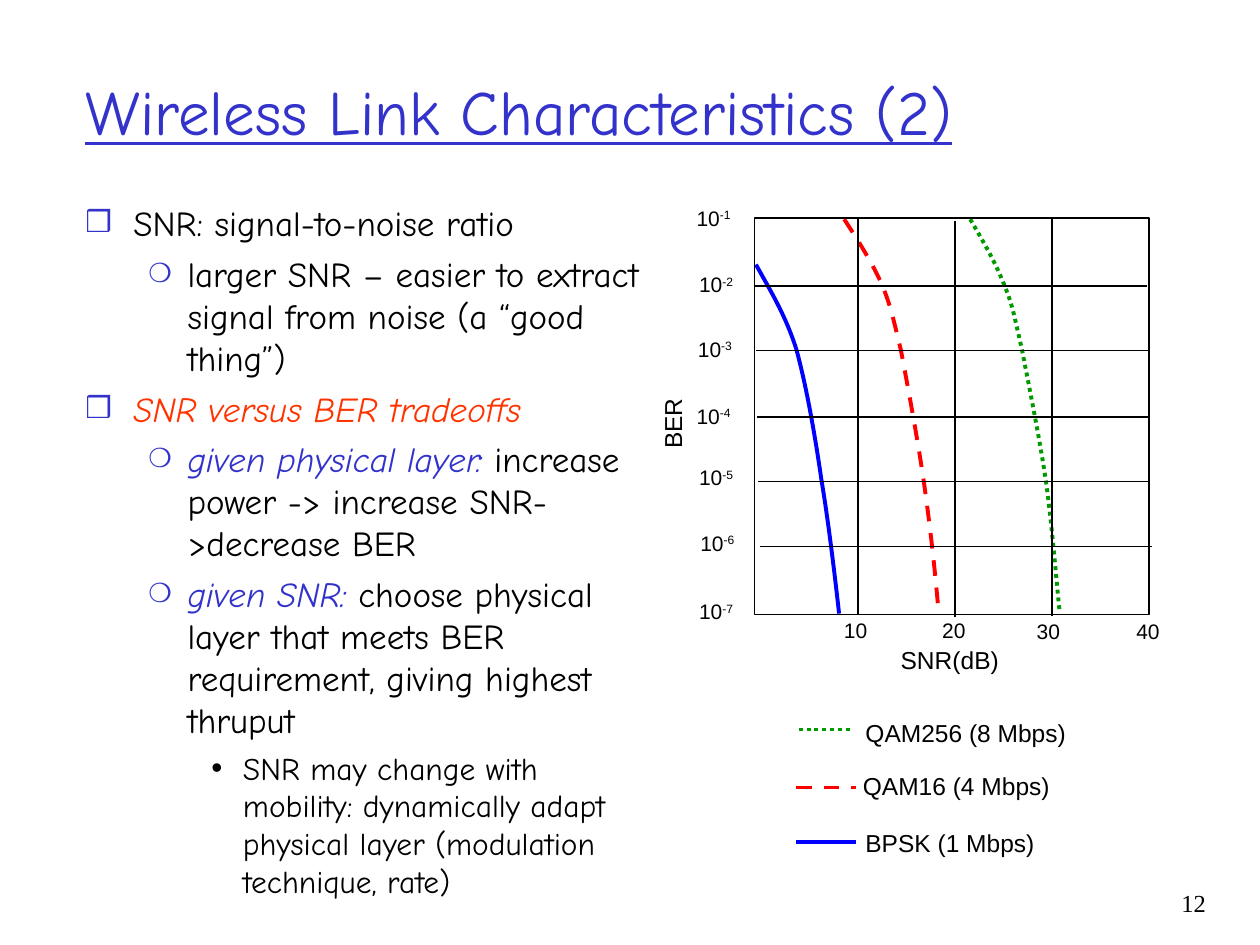
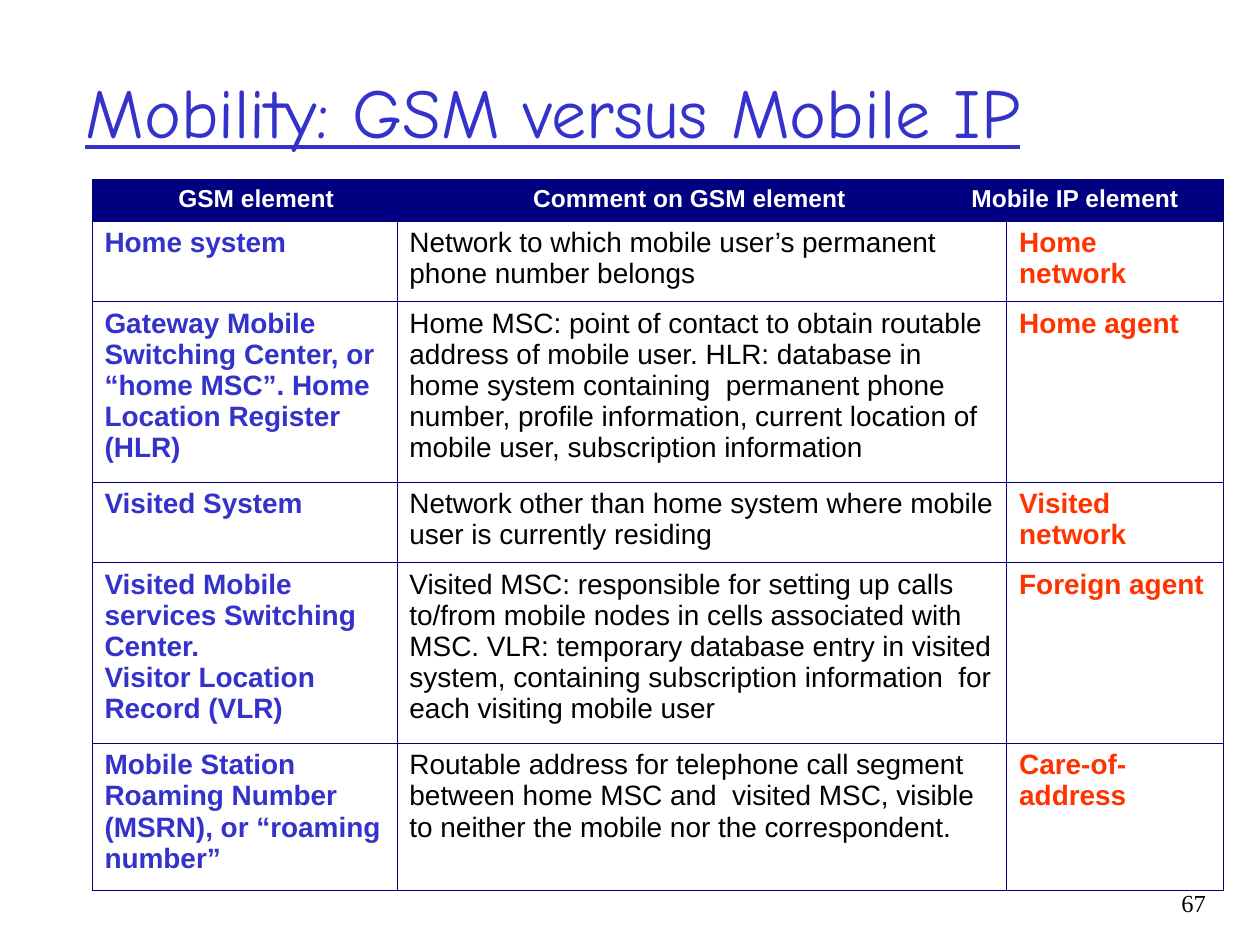
from lxml.etree import SubElement as Sub
from pptx import Presentation
from pptx.dml.color import RGBColor as RGB
from pptx.enum.dml import MSO_LINE as Dash
from pptx.enum.shapes import MSO_CONNECTOR as Conn, MSO_SHAPE as Shape
from pptx.enum.text import MSO_ANCHOR as Anchor, MSO_AUTO_SIZE as Fit, PP_ALIGN as Align
from pptx.oxml.ns import qn
from pptx.util import Inches, Pt

BLACK = RGB(0x00, 0x00, 0x00)
WHITE = RGB(0xFF, 0xFF, 0xFF)
INDIGO = RGB(0x33, 0x33, 0xCC)
ORANGE = RGB(0xFF, 0x33, 0x00)
NAVY = RGB(0x00, 0x00, 0x80)
BLUE = RGB(0x00, 0x00, 0xFF)
RED = RGB(0xFF, 0x00, 0x00)
GREEN = RGB(0x00, 0x99, 0x00)
COMIC = "Comic Neue"
ARIAL = "Arial"
TIMES = "Times New Roman"
THIN = Pt(0.72)
THICK = Pt(2.25)


def write(frame, *paras, font=ARIAL, size=12, color=BLACK, align=Align.LEFT,
          bold=False, under=False, wrap=True):
    """Fill a text frame; a paragraph is a string or a list of (text, format)."""
    frame.word_wrap = wrap
    for i, para in enumerate(paras):
        p = frame.paragraphs[0] if i == 0 else frame.add_paragraph()
        p.alignment = align
        for words, form in [(para, {})] if isinstance(para, str) else para:
            run = p.add_run()
            run.text = words
            run.font.name = font
            run.font.size = Pt(form.get("size", size))
            run.font.color.rgb = form.get("color", color)
            run.font.bold = bold
            run.font.italic = form.get("italic", False)
            run.font.underline = under
            if "base" in form:
                run._r.get_or_add_rPr().set("baseline", str(form["base"] * 1000))


def draw(slide, x1, y1, x2, y2, color=BLACK, width=THIN, dash=None):
    """Add a straight line without shadow."""
    line = slide.shapes.add_connector(
        Conn.STRAIGHT, Inches(x1), Inches(y1), Inches(x2), Inches(y2))
    line.line.color.rgb = color
    line.line.width = width
    line.line.dash_style = dash
    Sub(line._element.spPr, qn("a:effectLst"))


prs = Presentation()
prs.slide_width, prs.slide_height = Inches(10), Inches(7.5)

# Titles and page numbers
slides = []
for title, size, page in [("Wireless Link Characteristics (2)", 36, "12"),
                          ("Mobility: GSM versus Mobile IP", 40, "67")]:
    slide = prs.slides.add_slide(prs.slide_layouts[6])
    box = slide.shapes.add_textbox(Inches(0.58), Inches(0.25), Inches(8.5), Inches(1.25))
    box.text_frame.vertical_anchor = Anchor.MIDDLE
    write(box.text_frame, title, font=COMIC, size=size, color=INDIGO, under=True)
    box = slide.shapes.add_textbox(Inches(8.93), Inches(7), Inches(0.74), Inches(0.5))
    write(box.text_frame, page, font=TIMES, size=14, align=Align.RIGHT)
    slides.append(slide)
link, gsm = slides

# Bulleted text: level and paragraph
key = {"color": INDIGO, "italic": True}
points = [
    (0, "SNR: signal-to-noise ratio"),
    (1, "larger SNR – easier to extract signal from noise (a “good thing”)"),
    (0, [("SNR versus BER tradeoffs", {"color": ORANGE, "italic": True})]),
    (1, [("given physical layer:", key),
         (" increase power -> increase SNR->decrease BER", {})]),
    (1, [("given SNR:", key),
         (" choose physical layer that meets BER requirement, giving highest thruput", {})]),
    (2, [("SNR may change with mobility: dynamically adapt physical layer "
          "(modulation technique, rate)", {"size": 18})]),
]
# Left margin, hanging indent, space before, mark, mark colour, mark size in %
levels = [(0.38, 0.38, 5, "❒", INDIGO, 85),
          (0.81, 0.31, 5, "❍", INDIGO, 75),
          (1.25, 0.25, 4.5, "•", BLACK, 100)]
box = link.shapes.add_textbox(Inches(0.58), Inches(1.55), Inches(4.68), Inches(5.68))
write(box.text_frame, *[para for _, para in points], font=COMIC, size=20)
for p, (level, _) in zip(box.text_frame.paragraphs, points):
    left, hang, gap, mark, color, scale = levels[level]
    p.level = level
    p.space_before = Pt(gap)
    pr = p._p.get_or_add_pPr()
    pr.set("marL", str(Inches(left)))
    pr.set("indent", str(-Inches(hang)))
    Sub(Sub(pr, qn("a:buClr")), qn("a:srgbClr")).set("val", str(color))
    Sub(pr, qn("a:buSzPct")).set("val", str(scale * 1000))
    Sub(pr, qn("a:buFont")).set("typeface", ARIAL)
    Sub(pr, qn("a:buChar")).set("char", mark)

# Curves: Bezier points, three more for each piece
curves = [
    (BLUE, None, [(6, 2.1), (6.11, 2.3), (6.23, 2.49), (6.32, 2.77),
                  (6.4, 3.06), (6.47, 3.46), (6.52, 3.81),
                  (6.58, 4.16), (6.64, 4.69), (6.66, 4.87)]),
    (RED, Dash.DASH, [(6.7, 1.74), (6.81, 1.91), (6.92, 2.08), (7, 2.26),
                      (7.07, 2.43), (7.09, 2.53), (7.15, 2.78),
                      (7.2, 3.04), (7.28, 3.47), (7.33, 3.81),
                      (7.38, 4.16), (7.42, 4.51), (7.45, 4.87)]),
    (GREEN, Dash.ROUND_DOT, [(7.7, 1.74), (7.8, 1.91), (7.9, 2.08), (7.97, 2.26),
                             (8.04, 2.43), (8.05, 2.51), (8.11, 2.77),
                             (8.16, 3.03), (8.25, 3.47), (8.3, 3.81),
                             (8.35, 4.16), (8.39, 4.68), (8.41, 4.85)]),
]
for color, dash, knots in curves:
    start, *rest = [(Inches(x), Inches(y)) for x, y in knots]
    pen = link.shapes.build_freeform(*start)
    pen.add_line_segments(rest, close=False)
    curve = pen.convert_to_shape()
    curve.shadow.inherit = False
    curve.fill.background()
    curve.line.color.rgb = color
    curve.line.width = THICK
    curve.line.dash_style = dash
    # Join each three straight pieces into one Bezier piece
    route = curve._element.find(".//" + qn("a:path"))
    sides = route.findall(qn("a:lnTo"))
    for k in range(0, len(sides), 3):
        bend = Sub(route, qn("a:cubicBezTo"))
        for side in sides[k:k + 3]:
            bend.append(side[0])
            route.remove(side)

# Plot frame and grid
plot = link.shapes.add_shape(
    Shape.RECTANGLE, Inches(5.99), Inches(1.73), Inches(3.13), Inches(3.15))
plot.shadow.inherit = False
plot.fill.background()
plot.line.color.rgb = BLACK
plot.line.width = THIN
for i, y in enumerate((2.27, 2.78, 3.31, 3.82, 4.34)):
    x = 5.99 + 0.01 * i
    draw(link, x, y, x + 3.11, y)
for i, y in enumerate((1.73, 1.75, 1.74)):
    x = 6.81 + 0.77 * i
    draw(link, x, y, x, y + 3.15)

# Legend lines
for (x1, x2, y), (color, dash, _) in zip(
        [(6.32, 6.79, 6.68), (6.32, 6.79, 6.25), (6.34, 6.77, 5.79)], curves):
    draw(link, x1, y, x2, y, color, THICK, dash)

# Plot labels: left, top, width, height, size, turn, text
labels = [(x, y, 0.4, 0.3, 12, 0, str(10 * i)) for i, (x, y) in enumerate(
    [(6.6, 4.85), (7.38, 4.85), (8.13, 4.86), (8.92, 4.86)], 1)]
labels += [(x, y, 0.49, 0.3, 12, 0, [("10", {}), (f"-{i}", {"base": 30})])
           for i, (x, y) in enumerate(
               [(5.43, 1.58), (5.45, 2.11), (5.44, 2.62), (5.43, 3.15),
                (5.45, 3.64), (5.46, 4.16), (5.45, 4.7)], 1)]
labels += [(6.77, 5.65, 1.81, 0.34, 14, 0, "QAM256 (8 Mbps)"),
           (6.75, 6.07, 1.7, 0.34, 14, 0, "QAM16 (4 Mbps)"),
           (6.77, 6.52, 1.56, 0.34, 14, 0, "BPSK (1 Mbps)"),
           (7.05, 5.07, 1, 0.34, 14, 0, "SNR(dB)"),
           (5.03, 3.18, 0.62, 0.34, 14, 270, "BER")]
for x, y, w, h, size, turn, words in labels:
    box = link.shapes.add_textbox(Inches(x), Inches(y), Inches(w), Inches(h))
    box.rotation = turn
    write(box.text_frame, words, size=size, wrap=False)
    box.text_frame.auto_size = Fit.SHAPE_TO_FIT_TEXT

# Comparison table
heads = [(0, 1, "GSM element ", Align.CENTER),
         (2, 2, "Comment on GSM element ", Align.CENTER),
         (3, 4, "Mobile IP element", Align.LEFT)]
rows = [
    (["Home system"],
     "Network to which mobile user’s permanent phone number belongs",
     "Home network"),
    (["Gateway Mobile Switching Center, or “home MSC”. Home Location Register (HLR)"],
     "Home MSC: point of contact to obtain routable address of mobile user. "
     "HLR: database in home system containing  permanent phone number, profile "
     "information, current location of mobile user, subscription information",
     "Home agent"),
    (["Visited System"],
     "Network other than home system where mobile user is currently residing",
     "Visited network"),
    (["Visited Mobile services Switching Center.", "Visitor Location Record (VLR)"],
     "Visited MSC: responsible for setting up calls to/from mobile nodes in cells "
     "associated with MSC. VLR: temporary database entry in visited system, "
     "containing subscription information  for each visiting mobile user",
     "Foreign agent"),
    (["Mobile Station Roaming Number (MSRN), or “roaming number”"],
     "Routable address for telephone call segment between home MSC and  visited "
     "MSC, visible to neither the mobile nor the correspondent.",
     "Care-of-address"),
]
wide = (2.42, 0.24, 4.22, 0.38, 1.72)
high = (0.33, 0.64, 1.43, 0.64, 1.43, 1.17)
grid = gsm.shapes.add_table(len(high), len(wide), Inches(0.73), Inches(1.42),
                            Inches(sum(wide)), Inches(sum(high))).table
grid.first_row = grid.horz_banding = False
for col, w in zip(grid.columns, wide):
    col.width = Inches(w)
for row, h in zip(grid.rows, high):
    row.height = Inches(h)

# Cell borders and fills
for r in range(len(high)):
    for c in range(len(wide)):
        cell = grid.cell(r, c)
        cell.margin_left = cell.margin_right = Inches(0.1)
        cell.margin_top = cell.margin_bottom = Inches(0.05)
        for side in ("lnL", "lnR", "lnT", "lnB"):
            edge = Sub(cell._tc.get_or_add_tcPr(), qn("a:" + side), w=str(Pt(0.45)))
            Sub(Sub(edge, qn("a:solidFill")), qn("a:srgbClr")).set("val", str(NAVY))
        if r == 0:
            cell.fill.solid()
            cell.fill.fore_color.rgb = NAVY
        else:
            cell.fill.background()

# Cell text
for first, last, words, align in heads:
    cell = grid.cell(0, first)
    if last > first:
        cell.merge(grid.cell(0, last))
    write(cell.text_frame, words, size=14, color=WHITE, bold=True, align=align)
for r, (name, note, match) in enumerate(rows, 1):
    grid.cell(r, 1).merge(grid.cell(r, 3))
    write(grid.cell(r, 0).text_frame, *name, size=16, color=INDIGO, bold=True)
    write(grid.cell(r, 1).text_frame, note, size=16)
    write(grid.cell(r, 4).text_frame, match, size=16, color=ORANGE, bold=True)

prs.save("out.pptx")
